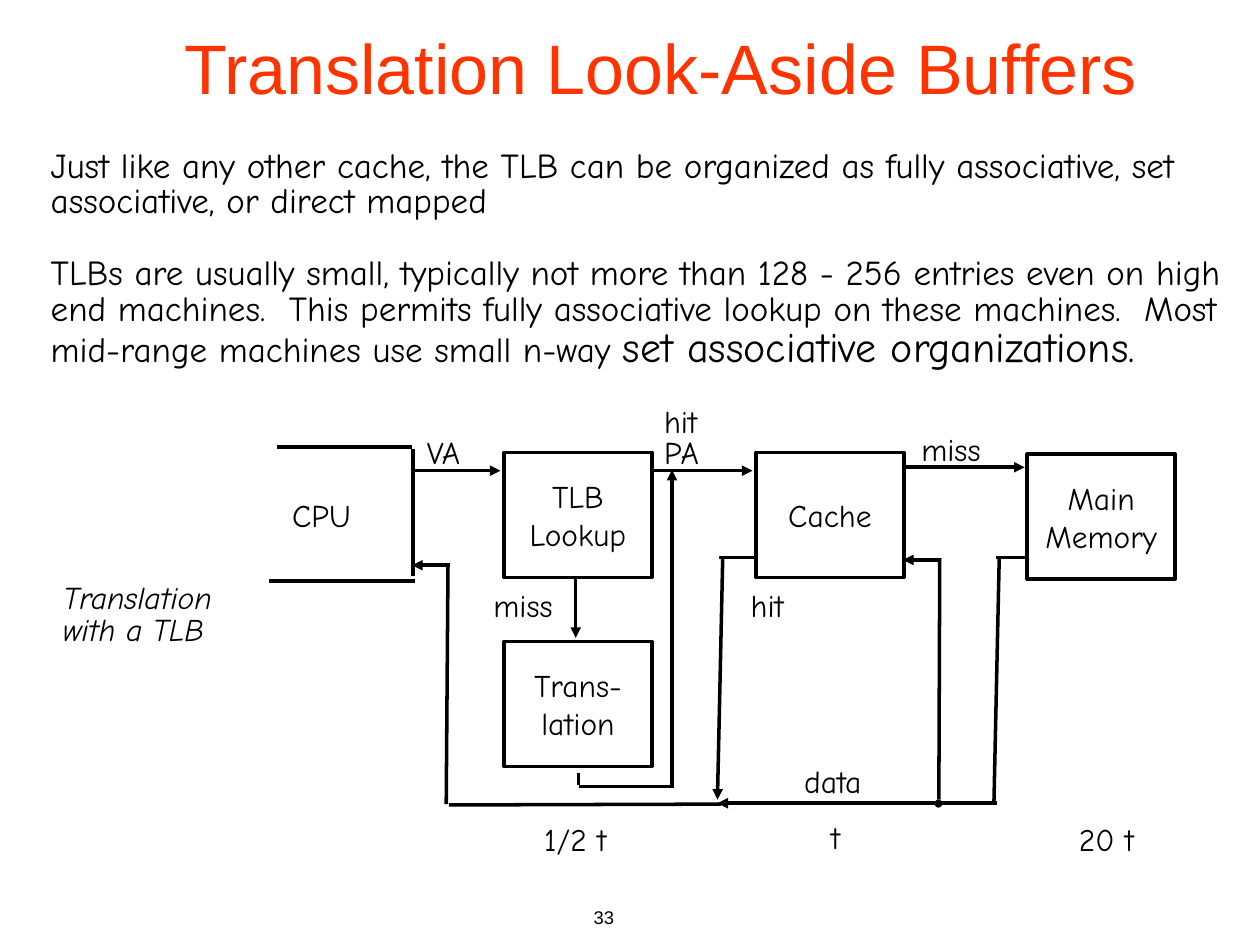
from lxml import etree
from pptx import Presentation
from pptx.dml.color import RGBColor
from pptx.enum.shapes import MSO_CONNECTOR, MSO_SHAPE
from pptx.enum.text import MSO_ANCHOR, MSO_AUTO_SIZE, PP_ALIGN
from pptx.oxml.ns import qn
from pptx.util import Pt

BLACK = RGBColor(0x00, 0x00, 0x00)
TITLE_RED = RGBColor(0xFF, 0x33, 0x00)
DOT_BLUE = RGBColor(0xE1, 0xF4, 0xFF)
LEFT, CENTER, RIGHT = PP_ALIGN.LEFT, PP_ALIGN.CENTER, PP_ALIGN.RIGHT
TOP, MIDDLE = MSO_ANCHOR.TOP, MSO_ANCHOR.MIDDLE
NO_AUTO_SIZE = MSO_AUTO_SIZE.NONE
STRAIGHT = MSO_CONNECTOR.STRAIGHT
RECTANGLE, OVAL = MSO_SHAPE.RECTANGLE, MSO_SHAPE.OVAL
SANS, COMIC = "Arial", "Comic Neue"
LINE_WIDTH = Pt(2)


def write_text(shape, paragraphs, margins=(5, 2.5), wrap=False, anchor=TOP,
               alignment=LEFT, spacing=0.85, gap=0, **font_format):
    """Fill a shape; each paragraph is a list of (text, size) runs."""
    frame = shape.text_frame
    frame_format = {
        "auto_size": NO_AUTO_SIZE, "word_wrap": wrap, "vertical_anchor": anchor,
        "margin_left": Pt(margins[0]), "margin_right": Pt(margins[0]),
        "margin_top": Pt(margins[1]), "margin_bottom": Pt(margins[1]),
    }
    for name, value in frame_format.items():
        setattr(frame, name, value)
    for index, runs in enumerate(paragraphs):
        paragraph = frame.add_paragraph() if index else frame.paragraphs[0]
        paragraph.alignment = alignment
        paragraph.line_spacing = spacing
        paragraph.space_before = Pt(gap if index else 0)
        for text, size in runs:
            run = paragraph.add_run()
            run.text = text
            run.font.color.rgb = font_format.get("color", BLACK)
            run.font.name = font_format.get("name", COMIC)
            run.font.size = Pt(size)
            run.font.italic = font_format.get("italic", False)


presentation = Presentation()
presentation.slide_width, presentation.slide_height = Pt(720), Pt(540)
slide = presentation.slides.add_slide(presentation.slide_layouts[5])
shapes = slide.shapes

# Title, body text and slide number
title = shapes.title
title.left, title.top, title.width, title.height = Pt(98), Pt(1.5), Pt(668), Pt(73.5)
write_text(title, [[("Translation Look-Aside Buffers", 40)]], margins=(7.2, 3.6),
           wrap=True, anchor=MIDDLE, spacing=1.0, name=SANS, color=TITLE_RED)

body = shapes.add_textbox(Pt(24), Pt(83), Pt(696), Pt(156))
write_text(body, [
    [("Just like any other cache, the TLB can be organized as fully associative, "
      "set associative, or direct mapped", 20)],
    [("TLBs are usually small, typically not more than 128 - 256 entries even on "
      "high end machines.  This permits fully associative lookup on these machines.  "
      "Most mid-range machines use small n-way ", 20),
     ("set associative organizations.", 24)],
], wrap=True, gap=20.5)

slide_number = shapes.add_textbox(Pt(208), Pt(514), Pt(150), Pt(36 - 10))
write_text(slide_number, [[("33", 10.5)]], margins=(7.2, 3.6), wrap=True,
           alignment=RIGHT, spacing=1.0, name=SANS)

# Units of the memory path
units = [
    (288, 258.5, ["TLB", "Lookup"]),
    (432, 258.5, ["Cache"]),
    (587, 259.5, ["Main", "Memory"]),
    (288, 366.5, ["Trans-", "lation"]),
]
for left, top, lines in units:
    unit = shapes.add_shape(RECTANGLE, Pt(left), Pt(top), Pt(84.5), Pt(71.5))
    unit.shadow.inherit = False
    unit.fill.background()
    unit.line.color.rgb = BLACK
    unit.line.width = LINE_WIDTH
    write_text(unit, [[(line, 18)] for line in lines], margins=(7.2, 3.6),
               anchor=MIDDLE, alignment=CENTER, spacing=1.0)

# Wires: start x, start y, end x, end y
plain_wires = [
    # open CPU outline
    (158.5, 255.5, 235.5, 255.5),
    (236, 256.5, 236, 329),
    (237, 332, 154, 332),
    # memory down to the data bus
    (587, 318.5, 569, 318.5),
    (571, 319, 568, 458),
    # data bus back to the CPU
    (412, 459.5, 256.5, 460),
    (255, 459.5, 256, 322.5),
    # data bus up to the cache
    (536.5, 457, 537, 319),
    # cache hit
    (432, 318.5, 411, 318.5),
    # translation result
    (330.5, 441.5, 330.5, 448.5),
    (331, 449.5, 383, 449.5),
]
arrows = [
    (237, 269, 286, 269),
    (372, 269, 430, 269),
    (517, 267, 585.5, 267),
    (257, 323, 235.5, 323),
    (538, 320, 516, 320),
    (413, 319, 410, 457),
    (329, 331, 329, 364.5),
    (384, 450, 384, 268.5),
    (570, 459, 410, 459),
]
for index, wire in enumerate(plain_wires + arrows):
    connector = shapes.add_connector(STRAIGHT, *(Pt(value) for value in wire))
    connector.line.color.rgb = BLACK
    connector.line.width = LINE_WIDTH
    if index >= len(plain_wires):
        etree.SubElement(connector.line._get_or_add_ln(), qn("a:tailEnd"), type="triangle")
    etree.SubElement(connector._element.spPr, qn("a:effectLst"))

junction = shapes.add_shape(OVAL, Pt(535), Pt(458), Pt(2.5), Pt(2.5))
junction.shadow.inherit = False
junction.fill.solid()
junction.fill.fore_color.rgb = DOT_BLUE
junction.line.color.rgb = BLACK
junction.line.width = LINE_WIDTH

# Labels: left, top, width, text
labels = [
    (162, 284.5, 44, "CPU"),
    (239, 248.5, 35, "VA"),
    (374.5, 248.5, 32.5, "PA"),
    (374.5, 230.5, 34, "hit"),
    (521.5, 246.5, 47, "miss"),
    (424, 335.5, 34, "hit"),
    (277, 335.5, 47, "miss"),
    (454.5, 436.5, 49, "data"),
    (306, 469.5, 57.5, "1/2 t"),
    (470, 468, 19, "t"),
    (611.5, 469.5, 48, "20 t"),
]
for left, top, width, text in labels:
    label = shapes.add_textbox(Pt(left), Pt(top), Pt(width), Pt(22))
    write_text(label, [[(text, 18)]])

caption = shapes.add_textbox(Pt(31), Pt(331), Pt(106.5), Pt(41))
write_text(caption, [[("Translation", 18)], [("with a TLB", 18)]], italic=True)

presentation.save("out.pptx")
